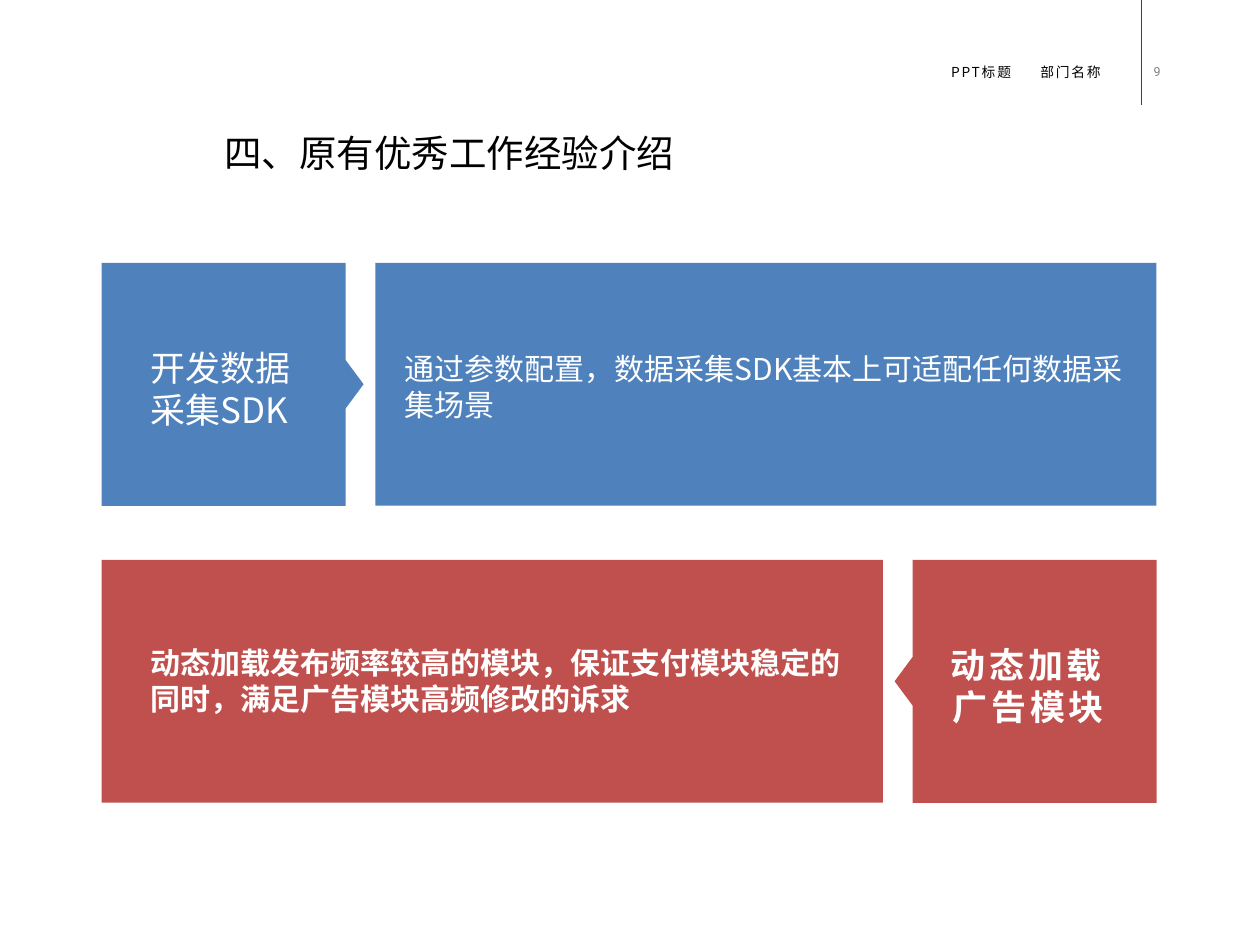
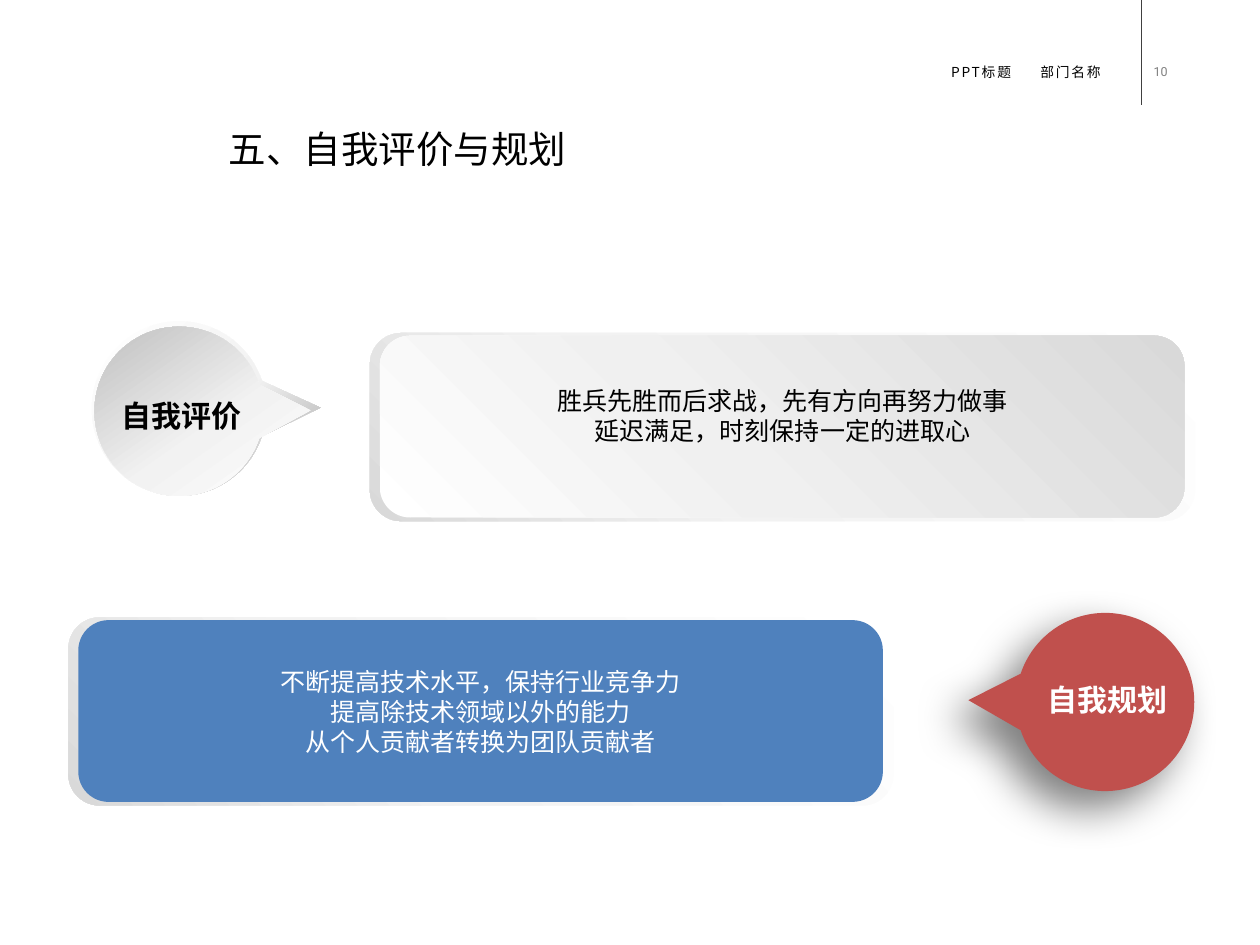
from itertools import pairwise
from math import cos, radians, sin, tan

from lxml import etree
from pptx import Presentation
from pptx.dml.color import RGBColor
from pptx.enum.shapes import MSO_CONNECTOR, MSO_SHAPE
from pptx.enum.text import MSO_ANCHOR, MSO_AUTO_SIZE, PP_ALIGN
from pptx.oxml.ns import qn
from pptx.util import Inches, Pt

LEFT, CENTER = PP_ALIGN.LEFT, PP_ALIGN.CENTER
TOP, MIDDLE = MSO_ANCHOR.TOP, MSO_ANCHOR.MIDDLE
RECTANGLE, ROUNDED = MSO_SHAPE.RECTANGLE, MSO_SHAPE.ROUNDED_RECTANGLE
STRAIGHT = MSO_CONNECTOR.STRAIGHT

BLACK = RGBColor(0x00, 0x00, 0x00)
WHITE = RGBColor(0xFF, 0xFF, 0xFF)
GRAY = RGBColor(0x80, 0x80, 0x80)
RULE = RGBColor(0x40, 0x40, 0x40)
BLUE = RGBColor(0x4F, 0x81, 0xBD)
RED = RGBColor(0xC0, 0x50, 0x4D)
FONT, NUMBER_FONT = "Noto Sans CJK SC", "Roboto"

# Gradients: (angle clockwise in degrees, [(position in percent, colour)])
RIM_GRADIENT = (135, [(0, "FFFFFF"), (62, "F2F2F2"), (100, "D9D9D9")])
PANEL_GRADIENT = (315, [(0, "FFFFFF"), (42, "F0F0F0"), (100, "D9D9D9")])
DROP_RIM_GRADIENT = (45, [(0, "FFFFFF"), (55, "F2F2F2"), (100, "A6A6A6")])
DROP_GRADIENT = (235, [(0, "FFFFFF"), (43, "F2F2F2"), (100, "BFBFBF")])

FIRST_NUMBER = 9
HEADER = "PPT标题\t部门名称"

# Experience cards: side is 1 when the tag points right, -1 when it points left
EXPERIENCE_TITLE = ("四、原有优秀工作经验介绍", 2.39, 1.39)
EXPERIENCES = [
    dict(color=BLUE, side=1, bold=False,
         tag="开发数据采集SDK", tag_box=(1.67, 1.82), tag_format=dict(),
         detail="通过参数配置，数据采集SDK基本上可适配任何数据采集场景",
         detail_box=(4.5, 8.26), detail_drop=0.97),
    dict(color=RED, side=-1, bold=True,
         tag="动态加载广告模块", tag_box=(10.55, 1.75),
         tag_format=dict(align=CENTER, spacing=3),
         detail="动态加载发布频率较高的模块，保证支付模块稳定的同时，满足广告模块高频修改的诉求",
         detail_box=(1.67, 7.78), detail_drop=0.94),
]
CARD_LEFT, CARD_RIGHT, CARD_TOP, CARD_PITCH = 1.13, 12.85, 2.92, 3.3
CARD_HEIGHT, TAG_WIDTH, DETAIL_WIDTH = 2.7, 2.71, 8.68
POINTER_DEPTH, POINTER_HALF = 0.2, 0.27

REVIEW_TITLE = ("五、自我评价与规划", 2.44, 1.35)
EVALUATION = ["胜兵先胜而后求战，先有方向再努力做事", "延迟满足，时刻保持一定的进取心"]
PLAN = ["不断提高技术水平，保持行业竞争力", "提高除技术领域以外的能力", "从个人贡献者转换为团队贡献者"]
# Drops: centre, radius, tip, fill
DROPS = [
    ((12.28, 7.8), 0.99, (10.76, 7.78), RED),
    ((1.99, 4.54), 0.97, (3.56, 4.53), DROP_RIM_GRADIENT),
    ((1.99, 4.57), 0.94, (3.45, 4.56), DROP_GRADIENT),
]
DROP_LABELS = [("自我评价", 1.27, 4.42, BLACK), ("自我规划", 11.56, 7.57, WHITE)]
# Panels: left, top, fill
PANELS = [(4.11, 3.7, PANEL_GRADIENT), (0.76, 6.86, BLUE)]


def paint(shape, fill):
    """Fill with a colour or an (angle, stops) gradient, without line or shadow."""
    shape.shadow.inherit = False
    shape.line.fill.background()
    if isinstance(fill, RGBColor):
        shape.fill.solid()
        shape.fill.fore_color.rgb = fill
        return
    angle, stops = fill
    shape.fill.gradient()
    shape.fill.gradient_angle = 360 - angle
    stop_list = shape._element.spPr.find(qn("a:gradFill")).find(qn("a:gsLst"))
    for stop in list(stop_list):
        stop_list.remove(stop)
    for position, color in stops:
        stop = etree.SubElement(stop_list, qn("a:gs"), pos=str(position * 1000))
        etree.SubElement(stop, qn("a:srgbClr"), val=color)


def cast_shadow(shape, blur, distance, angle, opacity):
    effects = shape._element.spPr.find(qn("a:effectLst"))
    shadow = etree.SubElement(
        effects, qn("a:outerShdw"), blurRad=str(Pt(blur)), dist=str(Pt(distance)),
        dir=str(angle * 60000), algn="ctr", rotWithShape="0")
    color = etree.SubElement(shadow, qn("a:srgbClr"), val="000000")
    etree.SubElement(color, qn("a:alpha"), val=str(opacity * 1000))


def write(shape, lines, size, color=BLACK, font=FONT, bold=False, align=LEFT,
          anchor=TOP, spacing=0, inset=0.0):
    """Put one paragraph per line in the shape and format it."""
    frame = shape.text_frame
    frame.word_wrap = True
    frame.auto_size = MSO_AUTO_SIZE.NONE
    frame.vertical_anchor = anchor
    frame.margin_left = frame.margin_right = Inches(inset)
    frame.margin_top = frame.margin_bottom = Inches(inset / 2)
    for index, line in enumerate(lines):
        paragraph = frame.add_paragraph() if index else frame.paragraphs[0]
        paragraph.alignment = align
        run = paragraph.add_run()
        run.text = line
        run.font.size, run.font.bold, run.font.name = Pt(size), bold, font
        run.font.color.rgb = color
        properties = run.font._element
        etree.SubElement(properties, qn("a:ea"), typeface=font)
        if spacing:
            properties.set("spc", str(round(spacing * 100)))
    return frame


def add_text(slide, lines, left, top, width, height, **text_format):
    box = slide.shapes.add_textbox(*map(Inches, (left, top, width, height)))
    return write(box, lines, **text_format)


def add_block(slide, kind, left, top, width, height, fill):
    shape = slide.shapes.add_shape(kind, *map(Inches, (left, top, width, height)))
    paint(shape, fill)
    return shape


def add_outline(slide, points, fill):
    points = [(Inches(x), Inches(y)) for x, y in points]
    builder = slide.shapes.build_freeform(*points[0])
    builder.add_line_segments(points[1:], close=True)
    shape = builder.convert_to_shape()
    paint(shape, fill)
    return shape


def add_page(presentation, title, left, top):
    """Add a slide with the shared rule, number, header and title."""
    slide = presentation.slides.add_slide(presentation.slide_layouts[5])
    rule = slide.shapes.add_connector(
        STRAIGHT, *map(Inches, (12.68, -0.04, 12.68, 1.17)))
    rule.line.color.rgb = RULE
    rule.line.width = Pt(0.5)
    etree.SubElement(rule._element.spPr, qn("a:effectLst"))

    number = str(FIRST_NUMBER + len(presentation.slides) - 1)
    frame = add_text(slide, [number], 12.72, 0.66, 0.68, 0.27, size=10,
                     color=GRAY, font=NUMBER_FONT, inset=0.1)
    field = frame.paragraphs[0].runs[0]._r
    field.tag = qn("a:fld")
    field.set("id", "{B6F15528-21DE-4FAA-801E-634DDDAF4B2B}")
    field.set("type", "slidenum")

    frame = add_text(slide, [HEADER], 10.47, 0.66, 2.02, 0.29, size=11,
                     spacing=1.4, inset=0.1)
    paragraph_properties = frame.paragraphs[0]._p.get_or_add_pPr()
    tabs = etree.SubElement(paragraph_properties, qn("a:tabLst"))
    etree.SubElement(tabs, qn("a:tab"), pos=str(Inches(0.99)), algn="l")

    heading = slide.shapes.title
    heading.left, heading.top = Inches(left), Inches(top)
    heading.width, heading.height = Inches(7.58), Inches(0.68)
    write(heading, [title], size=30, inset=0.1)
    return slide


def add_experience(slide, top, card):
    side, color = card["side"], card["color"]
    points_right = side > 0
    detail_left = CARD_RIGHT - DETAIL_WIDTH if points_right else CARD_LEFT
    add_block(slide, RECTANGLE, detail_left, top, DETAIL_WIDTH, CARD_HEIGHT, color)

    outer = CARD_LEFT if points_right else CARD_RIGHT
    inner = outer + side * TAG_WIDTH
    middle, bottom = top + CARD_HEIGHT / 2, top + CARD_HEIGHT
    add_outline(slide, [
        (outer, top), (inner, top), (inner, middle - POINTER_HALF),
        (inner + side * POINTER_DEPTH, middle), (inner, middle + POINTER_HALF),
        (inner, bottom), (outer, bottom)], color)

    text_format = dict(color=WHITE, bold=card["bold"])
    left, width = card["tag_box"]
    add_text(slide, [card["tag"]], left, top + 0.93, width, 0.94, size=28,
             **text_format, **card["tag_format"])
    left, width = card["detail_box"]
    add_text(slide, [card["detail"]], left, top + card["detail_drop"], width, 0.81,
             size=24, **text_format)


def add_drop(slide, center, radius, tip, fill):
    """Draw a circle with a straight-sided point that reaches the tip."""
    x, y = center
    base = 0 if tip[0] > x else 180
    angles = [radians(base + turn) for turn in (18.5, 90, 180, 270, 341.5)]

    def on_circle(angle, tangent=0.0):
        return (x + radius * (cos(angle) - tangent * sin(angle)),
                y + radius * (sin(angle) + tangent * cos(angle)))

    shape = add_outline(slide, [tip] + [on_circle(angle) for angle in angles], fill)
    # The first line runs from the tip to the circle; the others become arcs.
    sides = list(shape._element.iter(qn("a:lnTo")))[1:]
    for segment, (start, end) in zip(sides, pairwise(angles)):
        handle = 4 / 3 * tan((end - start) / 4)
        segment.tag = qn("a:cubicBezTo")
        controls = [on_circle(start, handle), on_circle(end, -handle)]
        for index, (control_x, control_y) in enumerate(controls):
            point = etree.Element(qn("a:pt"), x=str(Inches(control_x) - shape.left),
                                  y=str(Inches(control_y) - shape.top))
            segment.insert(index, point)
    return shape


def build_experience(presentation):
    slide = add_page(presentation, *EXPERIENCE_TITLE)
    for row, card in enumerate(EXPERIENCES):
        add_experience(slide, CARD_TOP + row * CARD_PITCH, card)


def build_review(presentation):
    slide = add_page(presentation, *REVIEW_TITLE)
    drops = [add_drop(slide, *drop) for drop in DROPS]
    cast_shadow(drops[0], blur=35, distance=20, angle=135, opacity=50)
    for left, top, fill in PANELS:
        add_block(slide, ROUNDED, left, top, 9.17, 2.09, RIM_GRADIENT)
        panel = add_block(slide, ROUNDED, left + 0.11, top + 0.03, 8.94, 2.02, fill)
    write(panel, PLAN, size=20, color=WHITE, align=CENTER, anchor=MIDDLE, inset=0.1)
    for label, left, top, color in DROP_LABELS:
        add_text(slide, [label], left, top, 1.49, 0.4, size=24, color=color,
                 bold=True, align=CENTER)
    add_text(slide, EVALUATION, 4.57, 4.23, 8.25, 0.77, size=20, align=CENTER,
             inset=0.1)


def main():
    presentation = Presentation()
    presentation.slide_width, presentation.slide_height = Inches(14), Inches(10.5)
    presentation.element.set("firstSlideNum", str(FIRST_NUMBER))
    build_experience(presentation)
    build_review(presentation)
    presentation.save("out.pptx")


if __name__ == "__main__":
    main()
